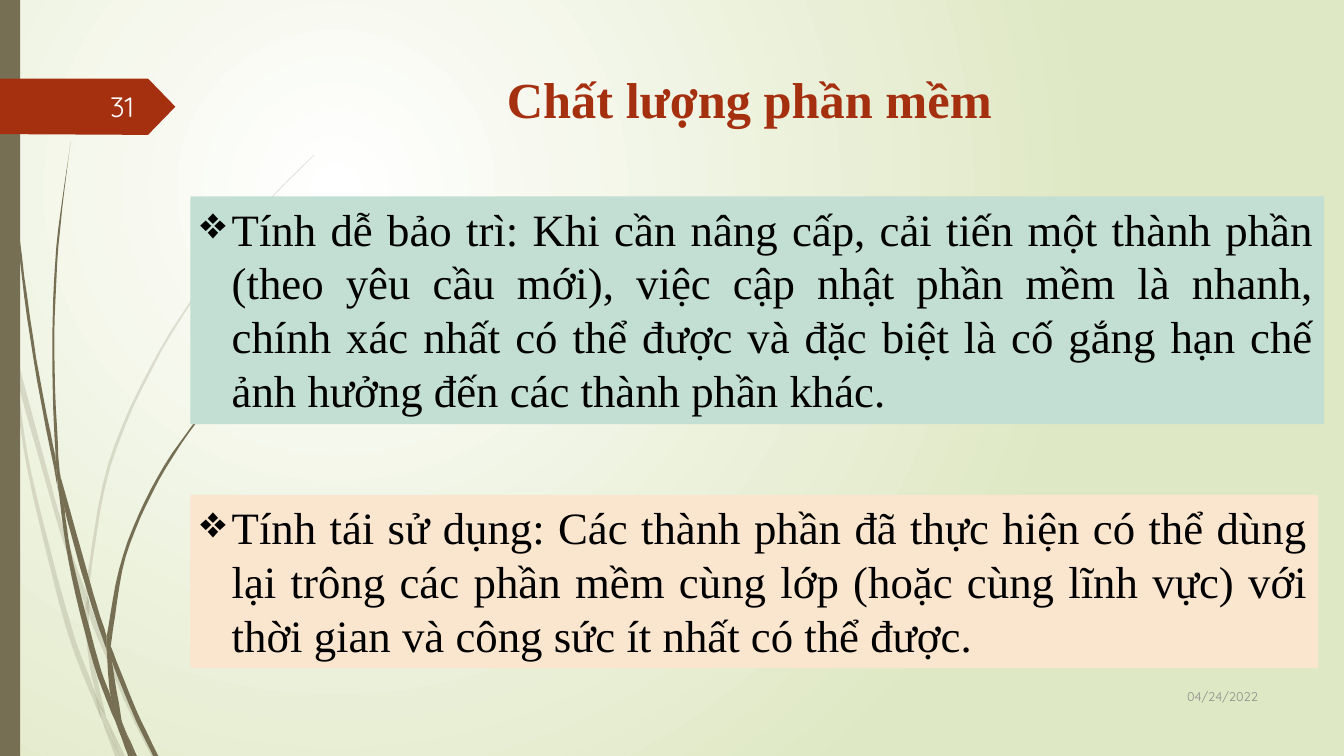
from dataclasses import dataclass

from pptx import Presentation
from pptx import util as u
from pptx.dml.color import RGBColor
from pptx.enum import shapes, text
from pptx.oxml import ns, xmlchemy

COLOURS = {"olive": "766F54", "rust": "A53010", "mint": "C3DED3", "peach": "FAE5CF",
           "black": "000000", "white": "FFFFFF", "number": "FEFFFF", "grey": "8C8C8C",
           "pale green": "DFE8C4"}
SERIF, SANS = "Times New Roman", "Quicksand"
STEPS = 6  # straight pieces between two points of a strand edge
Point = tuple[float, float]


@dataclass
class Strand:
    """A piece of a grass blade: both edges from top to bottom, in inches."""
    left: list[Point]
    right: list[Point]


@dataclass
class Label:
    """A piece of text in a box measured in inches, with or without a panel and bullet."""
    words: str
    box: tuple[float, float, float, float]
    size: int
    font: str
    colour: str
    align: text.PP_ALIGN
    anchor: text.MSO_ANCHOR = text.MSO_ANCHOR.TOP
    bold: bool = False
    panel: str = ""


PALE_GRASS = [
    Strand([(0, 2.99), (.1, 3.44), (.11, 3.5)], [(0, 2.82), (.09, 3.22), (.11, 3.5)]),
    Strand([(.14, 3.45), (.17, 3.76), (.58, 5.22), (.84, 5.99)], [(.14, 3.45), (.62, 5.2), (.85, 5.86)]),
    Strand([(.88, 5.96), (.88, 6.1), (1.23, 6.94), (1.5, 7.5)], [(.92, 6.07), (1.27, 6.92), (1.55, 7.5)]),
    Strand([(1.05, 7.11), (1.19, 7.5)], [(1.05, 7.11), (1.24, 7.5)]),
    Strand([(.11, 3.5), (.28, 4.7), (.65, 6.21), (.92, 6.93), (1.01, 7.14)],
           [(.17, 3.76), (.31, 4.69), (.7, 6.19), (.93, 6.83), (1.01, 7.14)]),
    Strand([(.84, 5.99), (.87, 6.46), (.96, 6.92), (1.05, 7.11)], [(.88, 6.1), (.91, 6.46), (1.05, 7.11)]),
    Strand([(3.12, 1.53), (2.68, 1.97), (2.28, 2.44), (1.58, 3.48), (1.07, 4.61), (.85, 5.84)],
           [(3.12, 1.54), (2.68, 1.98), (2.29, 2.45), (1.6, 3.49), (1.1, 4.62), (.88, 5.84), (.88, 5.96)]),
    Strand([(1.01, 7.14), (1.14, 7.5)], [(1.01, 7.14), (1.19, 7.5)]),
    Strand([(.85, 5.86), (.84, 5.99)], [(.88, 5.96), (.88, 6.1)]),
    Strand([(.93, 6.83), (1.01, 7.14), (1.19, 7.5)], [(.96, 6.92), (1.05, 7.11), (1.19, 7.5)]),
]
DARK_GRASS = [
    Strand([(.03, 0), (.07, 1.1), (.17, 2.33), (.33, 3.55), (.56, 4.77), (.57, 4.81)],
           [(.04, 0), (.08, 1.09), (.19, 2.32), (.36, 3.55), (.55, 4.53)]),
    Strand([(.6, 4.72), (.64, 5.05), (.88, 5.92), (1.06, 6.45)], [(.6, 4.72), (.93, 5.9), (1.06, 6.31)]),
    Strand([(1.1, 6.41), (1.11, 6.56), (1.32, 7.08), (1.52, 7.5)], [(1.13, 6.49), (1.36, 7.06), (1.57, 7.5)]),
    Strand([(.57, 4.77), (.68, 5.57), (.93, 6.59), (1.17, 7.22)],
           [(.64, 5.05), (.72, 5.56), (.98, 6.57), (1.1, 6.91), (1.17, 7.22)]),
    Strand([(.7, 1.41), (.56, 2.45), (.52, 3.49), (.55, 4.49), (.6, 4.72)],
           [(.7, 1.41), (.58, 2.45), (.54, 3.49), (.58, 4.53), (.6, 4.72)]),
    Strand([(1.22, 7.19), (1.33, 7.5)], [(1.22, 7.19), (1.36, 7.5)]),
    Strand([(.55, 4.49), (.57, 4.77), (.64, 5.05)], [(.55, 4.49), (.6, 4.72), (.64, 5.05)]),
    Strand([(2.6, 3.44), (2.04, 4.05), (1.56, 4.74), (1.22, 5.51), (1.06, 6.31)],
           [(2.61, 3.44), (2.05, 4.06), (1.58, 4.76), (1.25, 5.52), (1.11, 6.33), (1.1, 6.41)]),
    Strand([(1.17, 7.22), (1.27, 7.5)], [(1.17, 7.22), (1.31, 7.5)]),
    Strand([(1.06, 6.45), (1.1, 6.91), (1.22, 7.19)], [(1.11, 6.56), (1.21, 7.16), (1.22, 7.19)]),
    Strand([(1.06, 6.31), (1.06, 6.45), (1.11, 6.56)], [(1.06, 6.31), (1.1, 6.41), (1.11, 6.56)]),
    Strand([(1.1, 6.91), (1.17, 7.22), (1.3, 7.5)], [(1.1, 6.91), (1.22, 7.19), (1.33, 7.5)]),
]
BANNER = [(0, .78), (1.47, .78), (1.74, 1.06), (1.47, 1.34), (0, 1.33)]
LABELS = [
    Label("Chất lượng phần mềm", (2.56, .63, 9.75, 1.4), 36, SERIF, "rust",
          text.PP_ALIGN.CENTER, bold=True),
    Label("Tính dễ bảo trì: Khi cần nâng cấp, cải tiến một thành phần (theo yêu cầu mới), việc cập "
          "nhật phần mềm là nhanh, chính xác nhất có thể được và đặc biệt là cố gắng hạn chế ảnh "
          "hưởng đến các thành phần khác.", (1.89, 1.95, 11.25, 2.26), 32, SERIF, "black",
          text.PP_ALIGN.JUSTIFY, panel="mint"),
    Label("Tính tái sử dụng: Các thành phần đã thực hiện có thể dùng lại trông các phần mềm cùng lớp "
          "(hoặc cùng lĩnh vực) với thời gian và công sức ít nhất có thể được.",
          (1.89, 4.91, 11.19, 1.72), 32, SERIF, "black", text.PP_ALIGN.JUSTIFY, panel="peach"),
    Label("31", (.58, .86, .85, .4), 20, SANS, "number", text.PP_ALIGN.RIGHT, text.MSO_ANCHOR.MIDDLE),
    Label("04/24/2022", (11.33, 6.7, 1.25, .41), 9, SANS, "grey", text.PP_ALIGN.RIGHT,
          text.MSO_ANCHOR.MIDDLE),
]


def cm(inches: float) -> u.Cm:
    """Turn inches into a length in centimetres."""
    return u.Cm(round(inches * 2.54, 2))


def rgb(colour: str) -> RGBColor:
    """Look up a colour by its name."""
    return RGBColor.from_string(COLOURS[colour])


def set_all(target, values: dict) -> None:
    """Set every attribute in the dict on the target."""
    for key, value in values.items():
        setattr(target, key, value)


def add_xml(parent, tag: str, **attributes: str):
    """Append a DrawingML child with the given attributes."""
    child = xmlchemy.OxmlElement(tag)
    for key, value in attributes.items():
        child.set(key, value)
    parent.append(child)
    return child


def paint(shape, colour: str, opacity: int = 100) -> None:
    """Give a shape a plain fill, without line or shadow."""
    shape.shadow.inherit = False
    shape.line.fill.background()
    shape.fill.solid()
    shape.fill.fore_color.rgb = rgb(colour)
    if opacity < 100:
        tint = shape._element.spPr.find(".//" + ns.qn("a:srgbClr"))
        add_xml(tint, "a:alpha", val=str(opacity * 1000))


def smooth(edge: list[Point]) -> list[Point]:
    """Run a Catmull-Rom curve through the points of an edge."""
    padded = [edge[0], *edge, edge[-1]]
    curve = []
    for a, b, c, d in zip(padded, padded[1:], padded[2:], padded[3:]):
        for t in (step / STEPS for step in range(STEPS)):
            curve.append(tuple(
                q + t / 2 * (r - p + t * (2 * p - 5 * q + 4 * r - s + t * (3 * (q - r) + s - p)))
                for p, q, r, s in zip(a, b, c, d)))
    return [*curve, edge[-1]]


def add_outline(slide, points: list[Point], colour: str, opacity: int = 100) -> None:
    """Draw a closed, filled outline."""
    start, *rest = [(cm(x), cm(y)) for x, y in points]
    builder = slide.shapes.build_freeform(*start)
    builder.add_line_segments(rest, close=True)
    paint(builder.convert_to_shape(), colour, opacity)


def add_bar(slide, box: tuple[float, float, float, float], colour: str):
    """Draw a filled rectangle."""
    bar = slide.shapes.add_shape(shapes.MSO_SHAPE.RECTANGLE, *map(cm, box))
    paint(bar, colour)
    return bar


def add_label(slide, label: Label) -> None:
    """Write a label, bulleted on a panel if it has one."""
    holder = (add_bar(slide, label.box, label.panel) if label.panel
              else slide.shapes.add_textbox(*map(cm, label.box)))
    fit = text.MSO_AUTO_SIZE.SHAPE_TO_FIT_TEXT if label.panel else text.MSO_AUTO_SIZE.NONE
    set_all(holder.text_frame, {"word_wrap": True, "vertical_anchor": label.anchor, "auto_size": fit})
    paragraph = holder.text_frame.paragraphs[0]
    paragraph.alignment = label.align
    run = paragraph.add_run()
    run.text = label.words
    set_all(run.font, {"size": u.Pt(label.size), "name": label.font, "bold": label.bold})
    run.font.color.rgb = rgb(label.colour)
    if label.panel:
        layout = paragraph._p.get_or_add_pPr()
        layout.set("marL", str(cm(.31)))
        layout.set("indent", str(-cm(.31)))
        add_xml(layout, "a:buChar", char="❖")


def add_glow(slide) -> None:
    """Fill the background with light spreading from the upper left."""
    fill = slide.background.fill
    fill.gradient()
    for stop, colour in zip(fill.gradient_stops, ("white", "pale green")):
        stop.color.rgb = rgb(colour)
    gradient = slide._element.find(".//" + ns.qn("a:gradFill"))
    gradient.remove(gradient.find(ns.qn("a:lin")))
    circle = add_xml(gradient, "a:path", path="circle")
    add_xml(circle, "a:fillToRect", l="50000", t="50000", r="100000", b="100000")


def main() -> None:
    """Build the slide and save it."""
    deck = Presentation()
    set_all(deck, {"slide_width": cm(13.333), "slide_height": cm(7.5)})
    slide = deck.slides.add_slide(deck.slide_layouts[6])
    add_glow(slide)
    for grass, opacity in ((PALE_GRASS, 20), (DARK_GRASS, 100)):
        for strand in grass:
            add_outline(slide, smooth(strand.left) + smooth(strand.right)[::-1], "olive", opacity)
    add_bar(slide, (0, 0, .2, 7.5), "olive")
    add_outline(slide, BANNER, "rust")
    for label in LABELS:
        add_label(slide, label)
    deck.save("out.pptx")


main()
